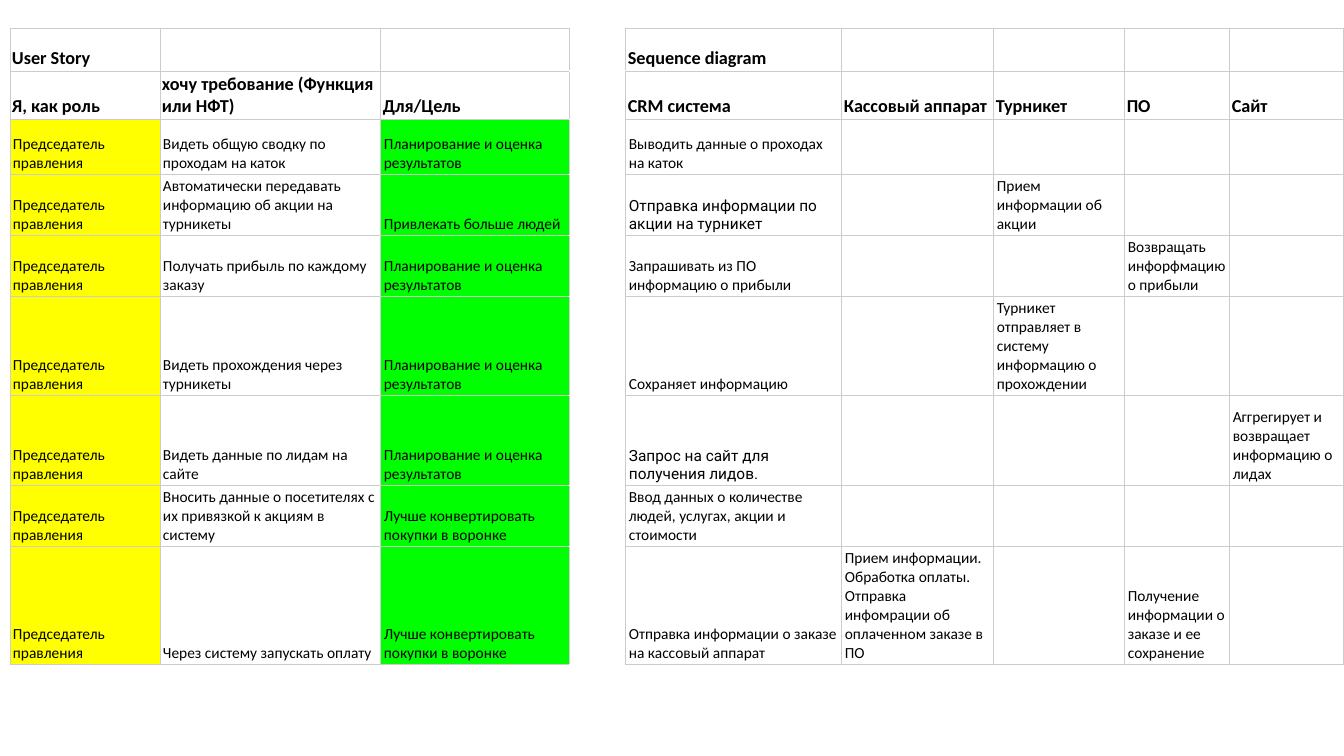
from lxml.etree import SubElement
from pptx import Presentation
from pptx.dml.color import RGBColor
from pptx.enum.text import MSO_VERTICAL_ANCHOR as Anchor
from pptx.oxml.ns import qn
from pptx.util import Emu, Pt

# Layout in px
COLUMN_WIDTHS = [150, 221, 189, 56, 216, 152, 131, 105, 114]
ROW_HEIGHTS = [43, 48, 55, 61, 61, 99, 90, 61, 118]
HEADER_ROWS = 2
GAP_COLUMN = 3
COLUMN_FILLS = {0: "FFFF00", 2: "00FF00"}
ROBOTO_CELLS = {(3, 4), (6, 4)}

# Wording, one list per row; trailing empty cells are left out
ROLE = "Председатель правления"
PLANNING = "Планирование и оценка результатов"
CONVERSION = "Лучше конвертировать покупки в воронке"
ROWS = [
    ["User Story", "", "", "", "Sequence diagram"],
    ["Я, как роль", "хочу требование (Функция или НФТ)", "Для/Цель", "",
     "CRM система", "Кассовый аппарат", "Турникет", "ПО", "Сайт"],
    [ROLE, "Видеть общую сводку по проходам на каток", PLANNING, "",
     "Выводить данные о проходах на каток"],
    [ROLE, "Автоматически передавать информацию об акции на турникеты",
     "Привлекать больше людей", "",
     "Отправка информации по акции на турникет", "",
     "Прием информации об акции"],
    [ROLE, "Получать прибыль по каждому заказу", PLANNING, "",
     "Запрашивать из ПО информацию о прибыли", "", "",
     "Возвращать инфорфмацию о прибыли"],
    [ROLE, "Видеть прохождения через турникеты", PLANNING, "",
     "Сохраняет информацию", "",
     "Турникет отправляет в систему информацию о прохождении"],
    [ROLE, "Видеть данные по лидам на сайте", PLANNING, "",
     "Запрос на сайт для получения лидов.", "", "", "",
     "Аггрегирует и возвращает информацию о лидах"],
    [ROLE, "Вносить данные о посетителях с их привязкой к акциям в систему",
     CONVERSION, "",
     "Ввод данных о количестве людей, услугах, акции и стоимости"],
    [ROLE, "Через систему запускать оплату", CONVERSION, "",
     "Отправка информации о заказе на кассовый аппарат",
     "Прием информации. Обработка оплаты. Отправка инфомрации об "
     "оплаченном заказе в ПО", "",
     "Получение информации о заказе и ее сохранение"],
]


def px(length):
    return Emu(round(length * 914400 / 100.8))


def color(value):
    return RGBColor.from_string(value)


class StoryTable:
    """Holds the table style and the current slide."""

    font = "Calibri"
    text_color = "000000"
    border_color = "CCCCCC"
    border_width = Pt(0.75)

    def __init__(self, slide):
        self.slide = slide

    def table(self, left, top, widths, heights):
        frame = self.slide.shapes.add_table(
            len(heights), len(widths), px(left), px(top),
            px(sum(widths)), px(sum(heights)))
        table = frame.table
        table.first_row = table.horz_banding = False
        for column, width in zip(table.columns, widths):
            column.width = px(width)
        for row, height in zip(table.rows, heights):
            row.height = px(height)
        return table

    def borders(self, cell, sides):
        properties = cell._tc.get_or_add_tcPr()
        for side in sides:
            line = SubElement(properties, qn(f"a:ln{side}"), w=str(self.border_width))
            fill = SubElement(line, qn("a:solidFill"))
            SubElement(fill, qn("a:srgbClr"), val=self.border_color)

    def fill(self, cell, value):
        if value:
            cell.fill.solid()
            cell.fill.fore_color.rgb = color(value)
        else:
            cell.fill.background()

    def text(self, cell, text, header, font):
        cell.vertical_anchor = Anchor.BOTTOM
        cell.margin_left = cell.margin_right = px(2 if header else 3)
        cell.margin_top = cell.margin_bottom = px(2)
        cell.text_frame.text = text
        style = cell.text_frame.paragraphs[0].runs[0].font
        style.name = font
        style.size = Pt(13 if header else 11)
        style.bold = header
        style.color.rgb = color(self.text_color)


def main():
    presentation = Presentation()
    presentation.slide_width, presentation.slide_height = px(1344), px(756)
    slide = presentation.slides.add_slide(presentation.slide_layouts[6])
    story = StoryTable(slide)

    # User stories on the left, sequence steps on the right
    table = story.table(10, 28, COLUMN_WIDTHS, ROW_HEIGHTS)
    for row, texts in enumerate(ROWS):
        header = row < HEADER_ROWS
        for column in range(len(COLUMN_WIDTHS)):
            cell = table.cell(row, column)
            story.borders(cell, "LR" if column == GAP_COLUMN else "LRTB")
            story.fill(cell, None if header else COLUMN_FILLS.get(column))
            if column < len(texts) and texts[column]:
                font = "Roboto" if (row, column) in ROBOTO_CELLS else story.font
                story.text(cell, texts[column], header, font)

    presentation.save("out.pptx")


if __name__ == "__main__":
    main()
